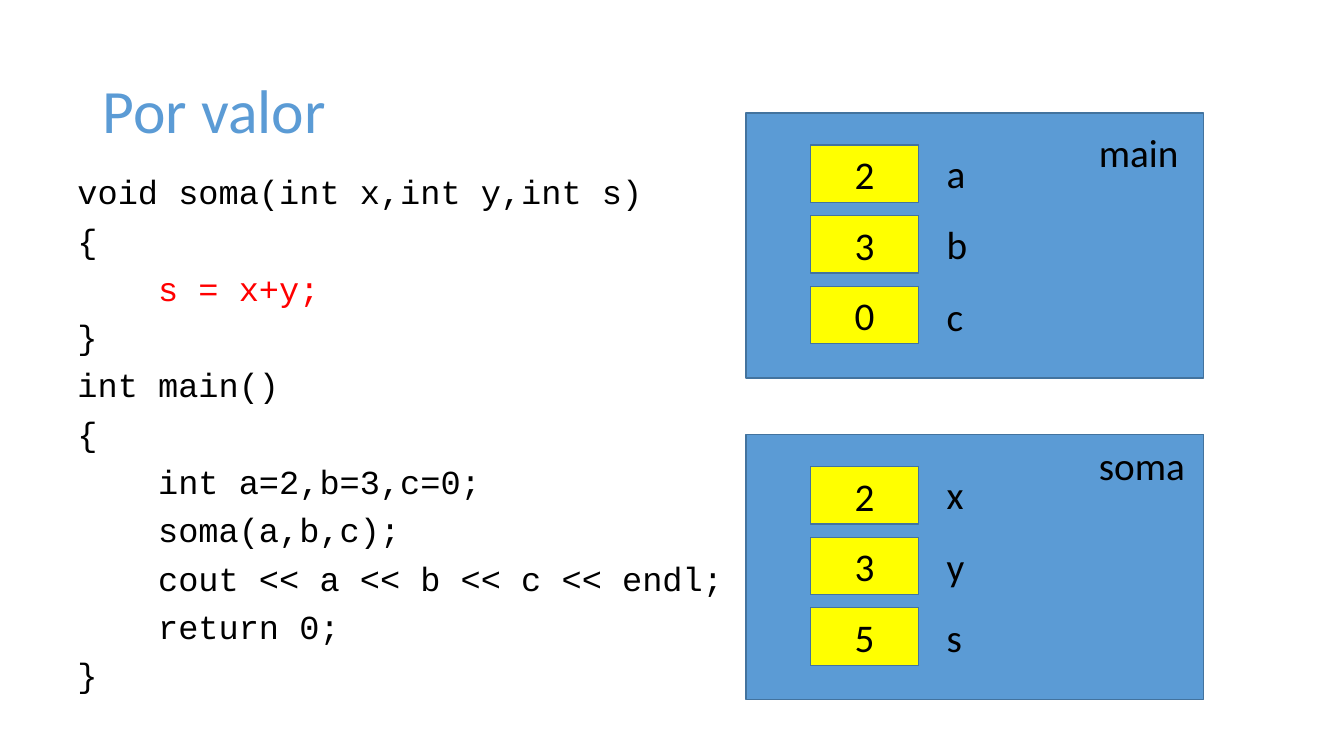
from pptx import Presentation
from pptx.dml.color import RGBColor
from pptx.enum.shapes import MSO_SHAPE
from pptx.enum.text import MSO_ANCHOR, PP_ALIGN
from pptx.util import Pt

PX = 9144  # 100 px to the inch
HUES = {"blue": "5B9BD5", "edge": "43739E", "cell": "FFFF00",
        "ink": "000000", "red": "FF0000"}
CODE = """void soma(int x,int y,int s)
{
    s = x+y;
}
int main()
{
    int a=2,b=3,c=0;
    soma(a,b,c);
    cout << a << b << c << endl;
    return 0;
}"""
HOT = "s = x+y;"


def hue(name):
    return RGBColor.from_string(HUES[name])


def emu(*box):
    return [n * PX for n in box]


def style(para, size, tone="ink", face="Calibri"):
    for run in para.runs:
        run.font.size = Pt(size)
        run.font.name = face
        run.font.color.rgb = hue(tone)


def label(slide, box, text, size=28, tone="ink"):
    frame = slide.shapes.add_textbox(*emu(*box)).text_frame
    frame.word_wrap = True
    frame.text = text
    style(frame.paragraphs[0], size, tone)
    return frame


def block(slide, box, fill):
    shape = slide.shapes.add_shape(MSO_SHAPE.RECTANGLE, *emu(*box))
    shape.shadow.inherit = False
    shape.fill.solid()
    shape.fill.fore_color.rgb = hue(fill)
    shape.line.color.rgb = hue("edge")
    shape.line.width = Pt(1)
    return shape


# Heading
def title(slide, box):
    frame = label(slide, box, "Por valor", 44, "blue")
    frame.vertical_anchor = MSO_ANCHOR.MIDDLE
    frame.paragraphs[0].line_spacing = 0.9


# Code listing, one paragraph a line
def listing(slide, box):
    frame = slide.shapes.add_textbox(*emu(*box)).text_frame
    frame.word_wrap = True
    frame.text = CODE
    for para in frame.paragraphs:
        para.line_spacing = 0.85
        para.space_before = Pt(10)
        tone = "red" if para.text.strip() == HOT else "ink"
        style(para, 24, tone, "Courier New")


# Stack frame of one function: its name and its variables
def stack(slide, box, name, drop, cells):
    left, top, wide, high = box
    block(slide, box, "blue")
    label(slide, (left + 340, top + drop, 128, 57), name)
    for row, (var, value) in enumerate(cells):
        cell = block(slide, (left + 64, top + 32 + 70 * row, 107, 57), "cell")
        frame = cell.text_frame
        frame.vertical_anchor = MSO_ANCHOR.MIDDLE
        frame.text = value
        para = frame.paragraphs[0]
        para.alignment = PP_ALIGN.CENTER
        style(para, 28)
        label(slide, (left + 189, top + 31 + 71 * row, 100, 57), var)


def main():
    deck = Presentation()
    deck.slide_width, deck.slide_height = emu(1333, 750)
    slide = deck.slides.add_slide(deck.slide_layouts[6])
    title(slide, (92, 40, 1150, 145))
    listing(slide, (67, 171, 724, 542))
    stack(slide, (740, 112, 454, 263), "main", 10,
          [("a", "2"), ("b", "3"), ("c", "0")])
    stack(slide, (740, 431, 454, 263), "soma", 2,
          [("x", "2"), ("y", "3"), ("s", "5")])
    deck.save("out.pptx")


if __name__ == "__main__":
    main()
